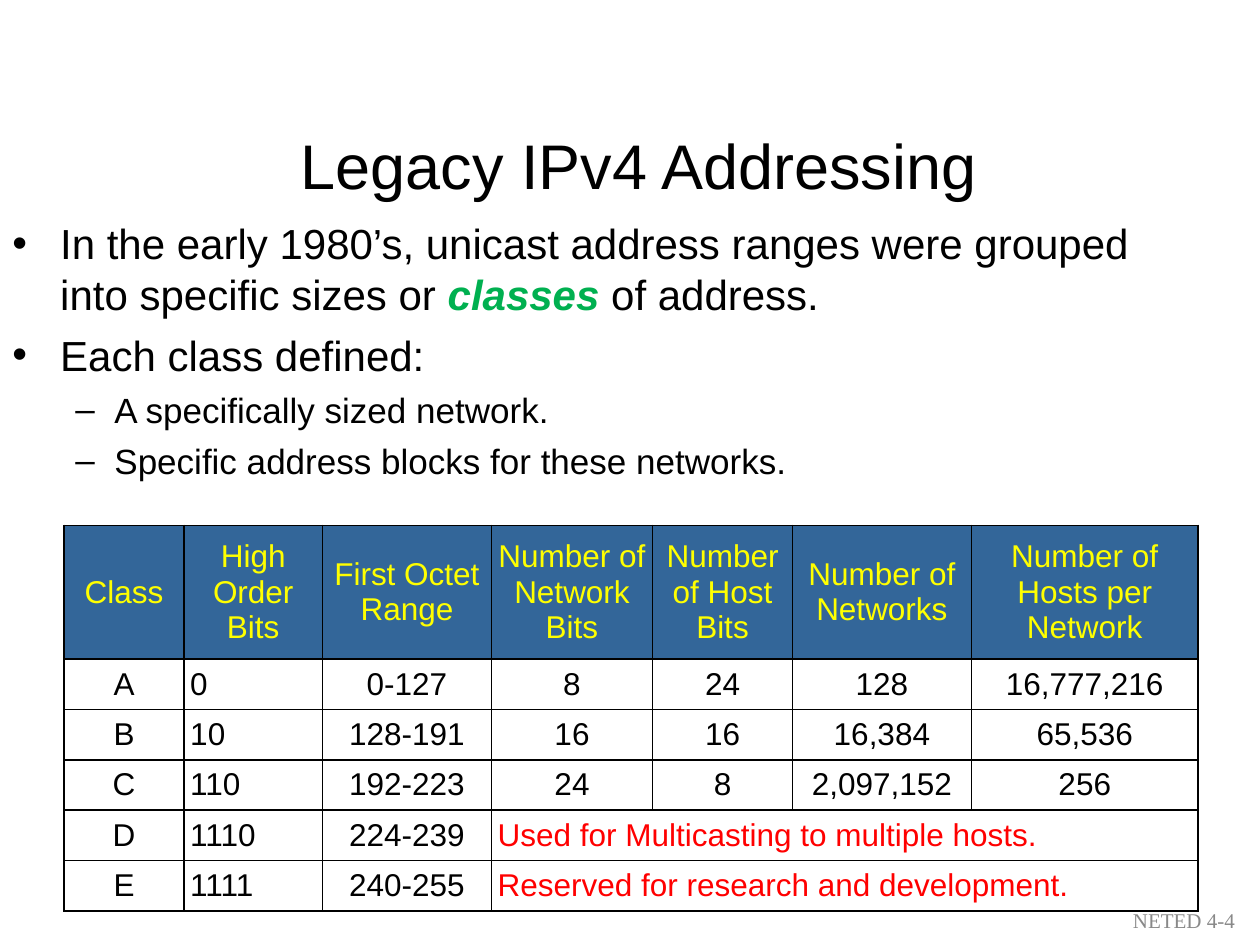
from dataclasses import dataclass
from typing import Optional

import lxml.etree
import pptx
import pptx.dml.color
import pptx.enum.text
import pptx.oxml.ns
import pptx.slide
import pptx.table
import pptx.text.text
import pptx.util

Inches = pptx.util.Inches
Pt = pptx.util.Pt
RGB = pptx.dml.color.RGBColor
Align = pptx.enum.text.PP_ALIGN
Anchor = pptx.enum.text.MSO_ANCHOR
qn = pptx.oxml.ns.qn


@dataclass(frozen=True)
class Theme:
    font: str = "Arial"
    footer_font: str = "Times New Roman"
    title_size: float = 36
    body_size: float = 24
    sub_size: float = 20
    table_size: float = 18
    footer_size: float = 12
    border_width: float = 1.08
    text: str = "000000"
    accent: str = "00B050"
    header_text: str = "FFFF00"
    header_fill: str = "336699"
    cell_fill: str = "FFFFFF"
    note: str = "FF0000"
    footer: str = "898989"


@dataclass(frozen=True)
class Box:
    left: float
    top: float
    width: float
    height: float

    def lengths(self) -> list[int]:
        return [Inches(v) for v in (self.left, self.top, self.width, self.height)]


@dataclass(frozen=True)
class BulletStyle:
    char: str
    size: float
    margin: float
    indent: float
    space_before: float


@dataclass(frozen=True)
class Bullet:
    style: BulletStyle
    text: str
    emphasis: str = ""
    rest: str = ""


@dataclass(frozen=True)
class AddressClass:
    name: str
    high_bits: str
    octets: str
    sizes: tuple[str, ...] = ()
    note: str = ""


THEME = Theme()
MAIN = BulletStyle("•", THEME.body_size, 0.38, -0.38, 6)
SUB = BulletStyle("–", THEME.sub_size, 0.81, -0.31, 5)

BULLETS = [
    Bullet(MAIN, "In the early 1980’s, unicast address ranges were grouped "
                 "into specific sizes or ", "classes ", "of address."),
    Bullet(MAIN, "Each class defined:"),
    Bullet(SUB, "A specifically sized network."),
    Bullet(SUB, "Specific address blocks for these networks."),
]
HEADERS = ["Class", "High Order Bits", "First Octet Range", "Number of Network Bits",
           "Number of Host Bits", "Number of Networks", "Number of Hosts per Network"]
CLASSES = [
    AddressClass("A", "0", "0-127", ("8", "24", "128", "16,777,216")),
    AddressClass("B", "10", "128-191", ("16", "16", "16,384", "65,536")),
    AddressClass("C", "110", "192-223", ("24", "8", "2,097,152", "256")),
    AddressClass("D", "1110", "224-239", note="Used for Multicasting to multiple hosts."),
    AddressClass("E", "1111", "240-255", note="Reserved for research and development."),
]
COL_WIDTHS = [0.95, 1.1, 1.34, 1.28, 1.11, 1.42, 1.8]
HEADER_HEIGHT, ROW_HEIGHT = 1.06, 0.4
BITS_COL, SIZES_COL = 1, 3


def style_paragraph(p: pptx.text.text._Paragraph, size: float, color: str,
                    align: Optional[Align] = None, font: str = THEME.font) -> None:
    p.font.name = font
    p.font.size = Pt(size)
    p.font.color.rgb = RGB.from_string(color)
    p.alignment = align


def add_text_frame(s: pptx.slide.Slide, box: Box, anchor: Anchor) -> pptx.text.text.TextFrame:
    tf = s.shapes.add_textbox(*box.lengths()).text_frame
    tf.word_wrap = True
    tf.vertical_anchor = anchor
    return tf


def add_line(s: pptx.slide.Slide, box: Box, text: str, size: float, color: str,
             align: Align, font: str = THEME.font) -> None:
    """Add a vertically centred single line of text."""
    p = add_text_frame(s, box, Anchor.MIDDLE).paragraphs[0]
    p.text = text
    style_paragraph(p, size, color, align, font)


def set_bullet(p: pptx.text.text._Paragraph, style: BulletStyle) -> None:
    p.space_before = Pt(style.space_before)
    p_pr = p._p.get_or_add_pPr()
    p_pr.set("marL", str(Inches(style.margin)))
    p_pr.set("indent", str(Inches(style.indent)))
    color = lxml.etree.SubElement(p_pr, qn("a:buClr"))
    lxml.etree.SubElement(color, qn("a:srgbClr"), val=THEME.text)
    lxml.etree.SubElement(p_pr, qn("a:buFont"), typeface=THEME.font)
    lxml.etree.SubElement(p_pr, qn("a:buChar"), char=style.char)


def add_bullets(s: pptx.slide.Slide, box: Box, bullets: list[Bullet]) -> None:
    tf = add_text_frame(s, box, Anchor.TOP)
    for i, bullet in enumerate(bullets):
        p = tf.add_paragraph() if i else tf.paragraphs[0]
        set_bullet(p, bullet.style)
        style_paragraph(p, bullet.style.size, THEME.text)
        p.add_run().text = bullet.text
        if bullet.emphasis:
            r = p.add_run()
            r.text = bullet.emphasis
            r.font.bold = r.font.italic = True
            r.font.color.rgb = RGB.from_string(THEME.accent)
            p.add_run().text = bullet.rest


def set_borders(cell: pptx.table._Cell) -> None:
    tc_pr = cell._tc.get_or_add_tcPr()
    for side in ("a:lnL", "a:lnR", "a:lnT", "a:lnB"):
        ln = lxml.etree.SubElement(tc_pr, qn(side), w=str(Pt(THEME.border_width)))
        fill = lxml.etree.SubElement(ln, qn("a:solidFill"))
        lxml.etree.SubElement(fill, qn("a:srgbClr"), val=THEME.text)


def fill_cell(cell: pptx.table._Cell, text: str, color: str, fill: str, align: Align) -> None:
    set_borders(cell)
    cell.fill.solid()
    cell.fill.fore_color.rgb = RGB.from_string(fill)
    cell.vertical_anchor = Anchor.MIDDLE
    cell.margin_left = cell.margin_right = Inches(0.05)
    cell.margin_top = cell.margin_bottom = Inches(0.05)
    p = cell.text_frame.paragraphs[0]
    p.text = text
    p.space_before = Pt(4.5)
    style_paragraph(p, THEME.table_size, color, align)


def add_class_table(s: pptx.slide.Slide, box: Box) -> None:
    table = s.shapes.add_table(len(CLASSES) + 1, len(HEADERS), *box.lengths()).table
    table.first_row = table.horz_banding = False
    for col, width in zip(table.columns, COL_WIDTHS):
        col.width = Inches(width)
    for i, row in enumerate(table.rows):
        row.height = Inches(ROW_HEIGHT if i else HEADER_HEIGHT)
    for c, header in enumerate(HEADERS):
        fill_cell(table.cell(0, c), header, THEME.header_text, THEME.header_fill, Align.CENTER)

    last = len(HEADERS) - 1
    for i, item in enumerate(CLASSES, start=1):
        sizes = item.sizes or (item.note,) + ("",) * (last - SIZES_COL)
        for c, text in enumerate((item.name, item.high_bits, item.octets) + sizes):
            is_note = bool(item.note) and c >= SIZES_COL
            align = Align.LEFT if is_note or c == BITS_COL else Align.CENTER
            color = THEME.note if is_note else THEME.text
            fill_cell(table.cell(i, c), text, color, THEME.cell_fill, align)
        if item.note:
            table.cell(i, SIZES_COL).merge(table.cell(i, last))


def main() -> None:
    prs = pptx.Presentation()
    prs.slide_width, prs.slide_height = Inches(10), Inches(7.5)
    s = prs.slides.add_slide(prs.slide_layouts[6])
    add_class_table(s, Box(0.51, 4.17, 9, 3.06))
    add_line(s, Box(0.57, 0.89, 9, 0.83), "Legacy IPv4 Addressing",
             THEME.title_size, THEME.text, Align.CENTER)
    add_bullets(s, Box(0, 1.68, 9.67, 5.65), BULLETS)
    add_line(s, Box(7.57, 7.1, 2.33, 0.4), "NETED 4-4", THEME.footer_size,
             THEME.footer, Align.RIGHT, THEME.footer_font)
    prs.save("out.pptx")


if __name__ == "__main__":
    main()
